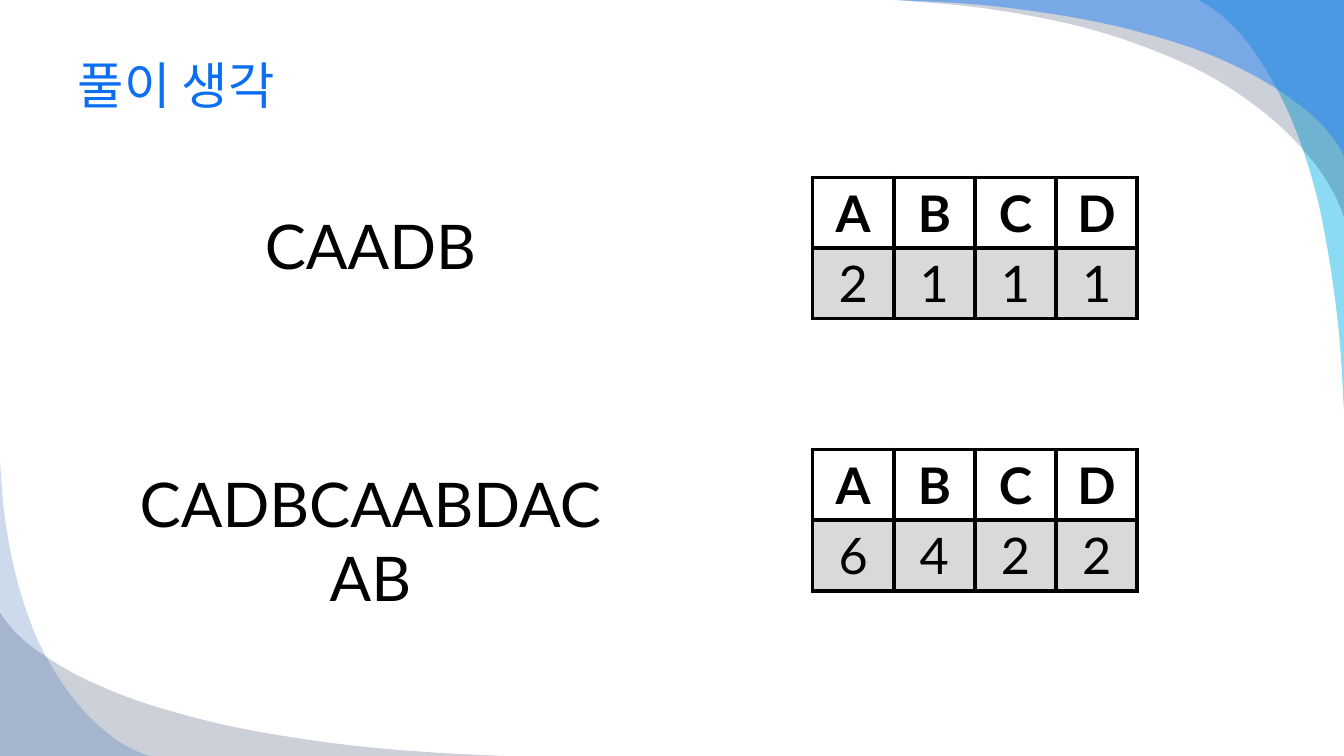
from pptx import Presentation
from pptx.dml.color import RGBColor
from pptx.enum.text import MSO_ANCHOR, MSO_AUTO_SIZE, PP_ALIGN
from pptx.oxml import parse_xml
from pptx.oxml.ns import nsdecls
from pptx.util import Inches, Pt

COLORS = {
    "title": "0C6FF2", "text": "000000", "head": "FFFFFF", "count": "D9D9D9",
    "cyan": "00B1E9", "navy": "021741", "blue": "247FF4", "steel": "084AA1",
}
TOP_RIGHT, BOTTOM_LEFT = (13.33, 0), (0, 7.5)

# Waves: corner, colour, opacity in percent, points on the curved edge
WAVES = [
    (TOP_RIGHT, "cyan", 45, [
        (11.89, 0), (12.1, 0.14), (12.34, 0.38), (12.59, 0.75), (12.82, 1.21),
        (13.03, 1.83), (13.17, 2.49), (13.28, 3.3), (13.33, 4.08)]),
    (TOP_RIGHT, "navy", 20, [
        (8.89, 0), (9.75, 0.08), (10.62, 0.24), (11.34, 0.46), (12.01, 0.76),
        (12.58, 1.15), (12.99, 1.56), (13.22, 1.9), (13.33, 2.15)]),
    (TOP_RIGHT, "blue", 49, [
        (8.89, 0), (9.75, 0.05), (10.63, 0.17), (11.35, 0.33), (12.02, 0.55),
        (12.58, 0.83), (13, 1.13), (13.23, 1.38), (13.33, 1.55)]),
    (BOTTOM_LEFT, "navy", 20, [
        (0, 6.08), (0.16, 6.28), (0.42, 6.49), (0.85, 6.74), (1.48, 6.99),
        (2.36, 7.22), (3.36, 7.38), (4.22, 7.46), (5, 7.5)]),
    (BOTTOM_LEFT, "steel", 20, [
        (0, 4.58), (0.05, 5.15), (0.16, 5.72), (0.34, 6.27), (0.56, 6.69),
        (0.82, 7.04), (1.1, 7.3), (1.31, 7.43), (1.48, 7.5)]),
]

# Letter counts: top of the table, values
COUNTS = [(1.76, "2111"), (4.46, "6422")]


def smooth(knots, steps=6):
    """Catmull-Rom curve through the knots."""
    pts = [knots[0], *knots, knots[-1]]
    curve = [knots[0]]
    for a, b, c, d in zip(pts, pts[1:], pts[2:], pts[3:]):
        for i in range(1, steps + 1):
            t = i / steps
            curve.append(tuple(
                b[k] + t / 2 * (c[k] - a[k]
                + t * (2 * a[k] - 5 * b[k] + 4 * c[k] - d[k])
                + t * t * (3 * b[k] - a[k] - 3 * c[k] + d[k]))
                for k in (0, 1)))
    return curve


class SlideBuilder:
    font = "Lato"

    def __init__(self, s):
        self.s = s

    def color(self, name):
        return RGBColor.from_string(COLORS[name])

    def add_text(self, p, text, size, color="text", align=PP_ALIGN.CENTER, bold=False):
        p.alignment = align
        r = p.add_run()
        r.text = text
        fmt = {"name": self.font, "size": Pt(size), "bold": bold}
        for key, value in fmt.items():
            setattr(r.font, key, value)
        r.font.color.rgb = self.color(color)

    def wave(self, corner, color, opacity, knots):
        points = [(Inches(x), Inches(y)) for x, y in smooth(knots)]
        fb = self.s.shapes.build_freeform(Inches(corner[0]), Inches(corner[1]))
        fb.add_line_segments(points, close=True)
        sp = fb.convert_to_shape()
        sp.shadow.inherit = False
        sp.line.fill.background()
        sp.fill.solid()
        sp.fill.fore_color.rgb = self.color(color)
        clr = sp._element.spPr.xpath("./a:solidFill/a:srgbClr")[0]
        clr.append(parse_xml(f'<a:alpha {nsdecls("a")} val="{opacity * 1000}"/>'))

    def place(self, sp, box, anchor):
        # Move the placeholder in front of the waves
        sp._element.getparent().append(sp._element)
        for key, value in zip(("left", "top", "width", "height"), box):
            setattr(sp, key, Inches(value))
        tf = sp.text_frame
        fmt = {"word_wrap": True, "auto_size": MSO_AUTO_SIZE.NONE,
               "vertical_anchor": anchor}
        for key, value in fmt.items():
            setattr(tf, key, value)
        return tf

    def title(self, text, box):
        tf = self.place(self.s.shapes.title, box, MSO_ANCHOR.MIDDLE)
        self.add_text(tf.paragraphs[0], text, 36, "title", PP_ALIGN.LEFT)

    def body(self, lines, box, top_inset, gap):
        tf = self.place(self.s.placeholders[1], box, MSO_ANCHOR.TOP)
        tf.margin_top = Inches(top_inset)
        for i, text in enumerate(lines):
            p = tf.add_paragraph() if i else tf.paragraphs[0]
            p.space_before = Pt(gap if i else 0)
            self.add_text(p, text, 44)
            pPr = p._p.get_or_add_pPr()
            pPr.set("marL", "0")
            pPr.set("indent", "0")
            pPr.append(parse_xml(f'<a:buNone {nsdecls("a")}/>'))

    def border(self, cell, width=3):
        tcPr = cell._tc.get_or_add_tcPr()
        for i, side in enumerate(("lnL", "lnR", "lnT", "lnB")):
            tcPr.insert(i, parse_xml(
                f'<a:{side} {nsdecls("a")} w="{Pt(width)}"><a:solidFill>'
                f'<a:srgbClr val="{COLORS["text"]}"/></a:solidFill></a:{side}>'))

    def table(self, rows, left, top, width, height):
        box = map(Inches, (left, top, width, height))
        tbl = self.s.shapes.add_table(len(rows), len(rows[0]), *box).table
        for i, row in enumerate(rows):
            for j, text in enumerate(row):
                cell = tbl.cell(i, j)
                cell.vertical_anchor = MSO_ANCHOR.MIDDLE
                cell.fill.solid()
                cell.fill.fore_color.rgb = self.color("count" if i else "head")
                self.add_text(cell.text_frame.paragraphs[0], text, 36, bold=i == 0)
                self.border(cell)


def main():
    prs = Presentation()
    prs.slide_width, prs.slide_height = Inches(13.33), Inches(7.5)
    b = SlideBuilder(prs.slides.add_slide(prs.slide_layouts[1]))

    # Corner waves
    for wave in WAVES:
        b.wave(*wave)

    # Title and strings
    b.title("풀이 생각", (0.67, 0.33, 12, 1.01))
    b.body(["CAADB", "CADBCAABDACAB"], (1.28, 1.48, 4.79, 5.22), 0.58, 132)

    # Letter count tables
    for top, counts in COUNTS:
        b.table(["ABCD", counts], 8.06, top, 3.22, 1.4)

    prs.save("out.pptx")


if __name__ == "__main__":
    main()
